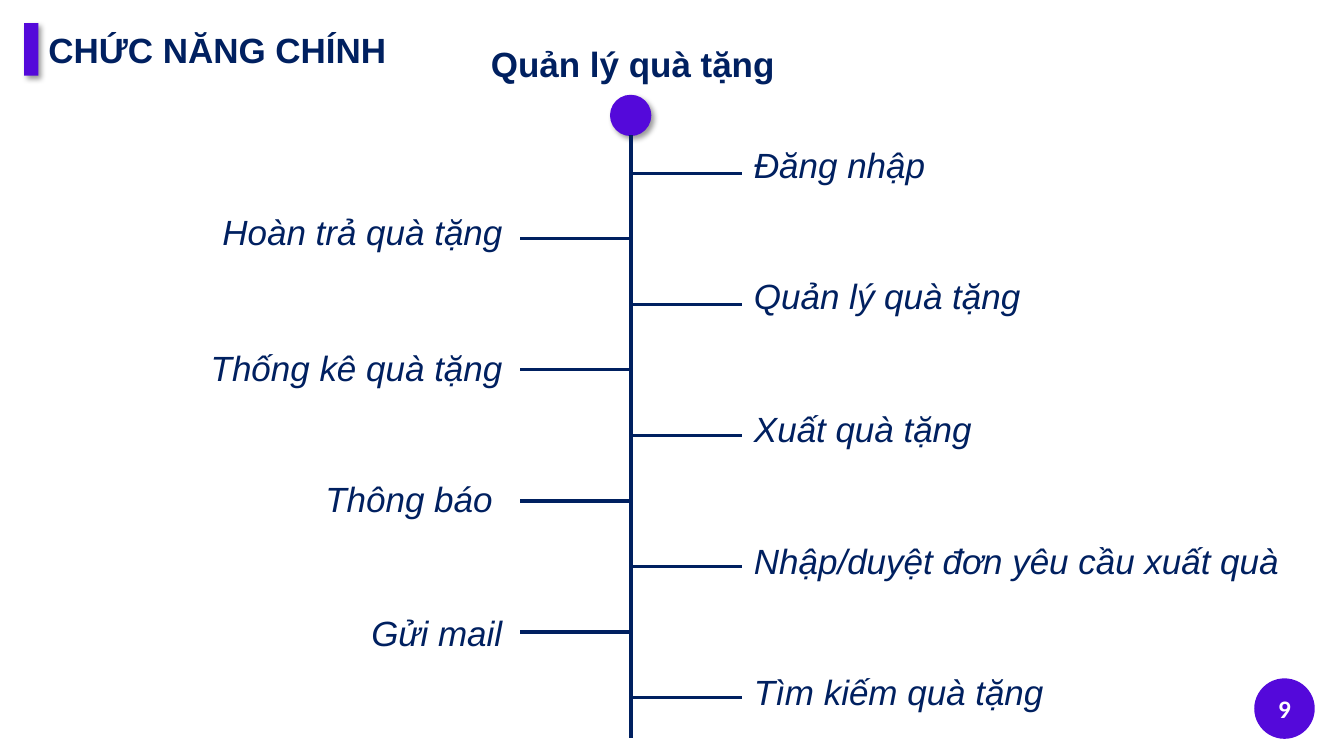
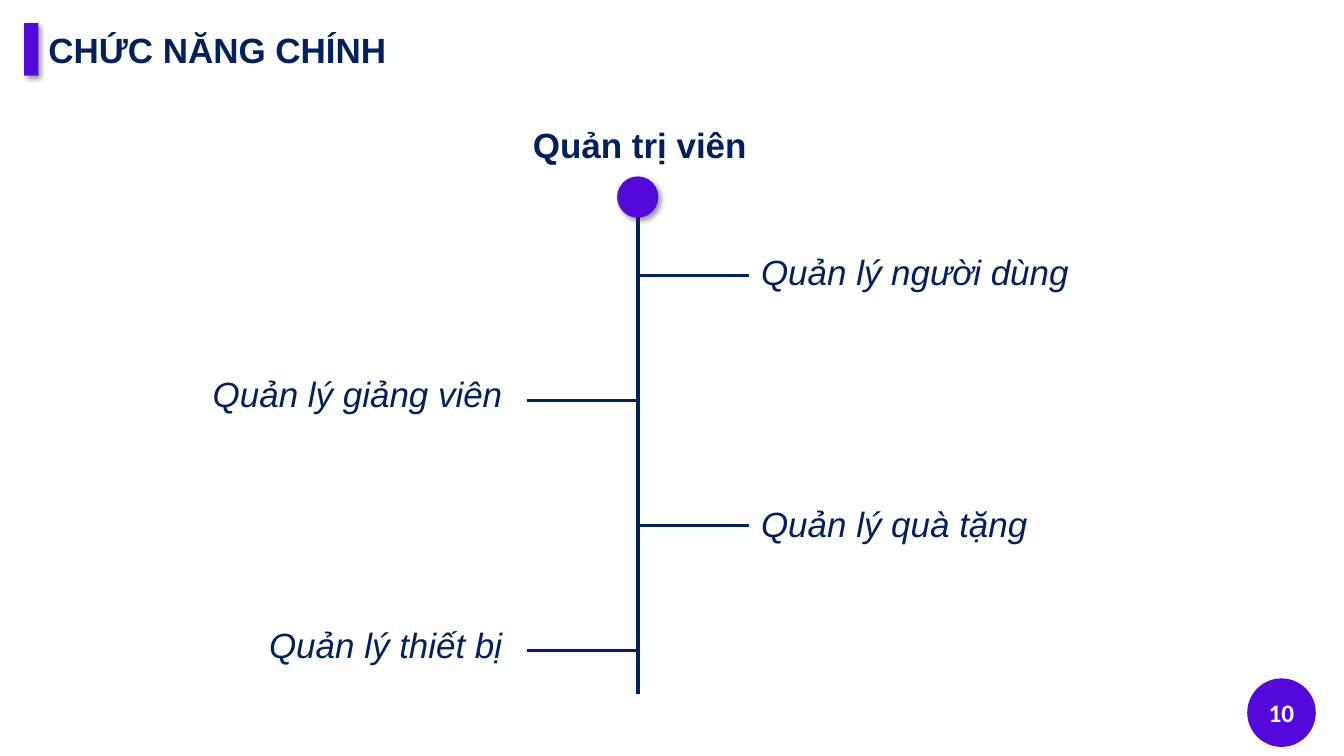
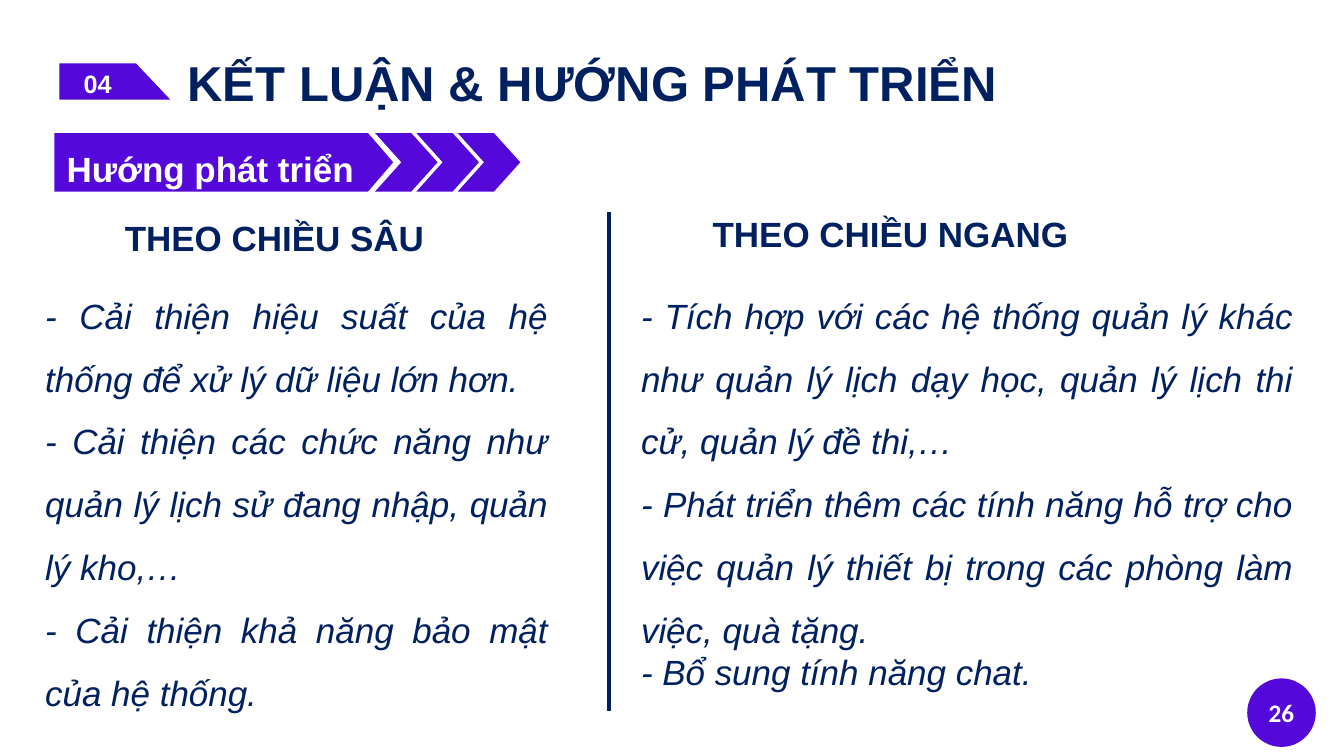
from lxml import etree
from pptx import Presentation
from pptx import util as u
from pptx.dml import color
from pptx.enum import shapes, text
from pptx.oxml import ns

Inches = u.Inches
hue = color.RGBColor.from_string
NAVY, VIOLET, WHITE = "002060", "5409DA", "FFFFFF"
LEFT, MID, RIGHT, FULL = (text.PP_ALIGN.LEFT, text.PP_ALIGN.CENTER,
                          text.PP_ALIGN.RIGHT, text.PP_ALIGN.JUSTIFY)
FORM = shapes.MSO_SHAPE


def write(shape, rows, size=25, ink=NAVY, bold=False, slant=False,
          align=LEFT, gaps=(), face="Arial", pad=None):
    frame = shape.text_frame
    frame.word_wrap = True
    frame.auto_size = text.MSO_AUTO_SIZE.NONE
    frame.vertical_anchor = text.MSO_ANCHOR.TOP
    if pad is not None:
        frame.margin_left = Inches(pad)
        frame.margin_top = frame.margin_right = frame.margin_bottom = 0
    for i, row in enumerate(rows):
        para = frame.paragraphs[0] if i == 0 else frame.add_paragraph()
        para.alignment = align
        if i < len(gaps):
            para.line_spacing = gaps[i]
        run = para.add_run()
        run.text = row
        font = run.font
        font.name, font.size = face, u.Pt(size)
        font.bold, font.italic = bold, slant
        font.color.rgb = hue(ink)
    return frame


def draw(shape, shade=False):
    shape.fill.solid()
    shape.fill.fore_color.rgb = hue(VIOLET)
    shape.line.fill.background()
    shape.shadow.inherit = False
    if shade:
        glow = etree.SubElement(
            shape._element.spPr.find(ns.qn("a:effectLst")), ns.qn("a:outerShdw"),
            blurRad=str(u.Pt(4)), dist=str(u.Pt(3)), dir="2700000",
            algn="tl", rotWithShape="0")
        tint = etree.SubElement(glow, ns.qn("a:srgbClr"), val="000000")
        etree.SubElement(tint, ns.qn("a:alpha"), val="40000")
    return shape


deck = Presentation()
deck.slide_width, deck.slide_height = Inches(13.33), Inches(7.5)

pages = [
    ("CHỨC NĂNG CHÍNH", (0.38, 0.23, 3.74, 0.52), 25, "9", 12.44, 0.6),
    ("CHỨC NĂNG CHÍNH", (0.38, 0.23, 3.74, 0.52), 25, "10", 12.37, 0.68),
    ("KẾT LUẬN & HƯỚNG PHÁT TRIỂN", (1.76, 0.47, 9.55, 0.69), 35, "26", 12.37, 0.68),
]
slides = []
for name, spot, size, page, x, side in pages:
    slide = deck.slides.add_slide(deck.slide_layouts[5])
    slides.append(slide)
    title = slide.shapes.title
    title.left, title.top, title.width, title.height = map(Inches, spot)
    write(title, [name], size, bold=True)
    badge = draw(slide.shapes.add_shape(
        FORM.OVAL, Inches(x), Inches(6.73), Inches(side), Inches(side)))
    frame = write(badge, [page], 18, WHITE, bold=True, align=MID, face="Calibri", pad=0)
    frame.vertical_anchor = text.MSO_ANCHOR.MIDDLE

trees = [
    ("Quản lý quà tặng", 6.26, 0.94, 7.32, 1.72, 0.65, [
        ("Đăng nhập", 1.37), ("Hoàn trả quà tặng", 2.04),
        ("Quản lý quà tặng", 2.67), ("Thống kê quà tặng", 3.39),
        ("Xuất quà tặng", 3.99), ("Thông báo ", 4.69),
        ("Nhập/duyệt đơn yêu cầu xuất quà", 5.3), ("Gửi mail", 6.02),
        ("Tìm kiếm quà tặng", 6.6)]),
    ("Quản trị viên", 6.33, 1.75, 6.89, 2.73, 1.24, [
        ("Quản lý người dùng", 2.44), ("Quản lý giảng viên", 3.65),
        ("Quản lý quà tặng", 4.94), ("Quản lý thiết bị", 6.14)]),
]
rods = [(slides[2], 6.04, 2.1, 6.04, 7.05, 3)]
for slide, (head, axis, top, end, start, step, items) in zip(slides, trees):
    draw(slide.shapes.add_shape(
        FORM.RECTANGLE, Inches(0.24), Inches(0.23), Inches(0.14), Inches(0.52)), True)
    box = slide.shapes.add_textbox(
        Inches(axis - 1.99), Inches(top - 0.57), Inches(4.01), Inches(0.52))
    write(box, [head], bold=True, align=MID)
    draw(slide.shapes.add_shape(
        FORM.OVAL, Inches(axis - 0.21), Inches(top), Inches(0.41), Inches(0.41)), True)
    rods.append((slide, axis, top + 0.4, axis, end, 3))
    for i, (label, y) in enumerate(items):
        east = i % 2 == 0
        level = start + i * step
        rods.append((slide, axis, level, axis + (1.1 if east else -1.1), level, 2.25))
        box = slide.shapes.add_textbox(
            Inches(axis + 1.12 if east else 0.38), Inches(y),
            Inches(5.9 if east else 4.7), Inches(0.52))
        write(box, [label], slant=True, align=LEFT if east else RIGHT)

for slide, x1, y1, x2, y2, width in rods:
    rod = slide.shapes.add_connector(
        shapes.MSO_CONNECTOR.STRAIGHT, Inches(x1), Inches(y1), Inches(x2), Inches(y2))
    rod.line.color.rgb = hue(NAVY)
    rod.line.width = u.Pt(width)
    etree.SubElement(rod._element.spPr, ns.qn("a:effectLst"))

last = slides[2].shapes
pen = last.build_freeform(Inches(0.59), Inches(0.63))
pen.add_line_segments([(Inches(x), Inches(y)) for x, y in
                       [(1.35, 0.63), (1.69, 0.99), (0.59, 0.99)]])
tag = draw(pen.convert_to_shape())
write(tag, ["04"], 18, WHITE, bold=True, pad=0.24).margin_top = Inches(0.05)

plate = draw(last.add_shape(
    FORM.PENTAGON, Inches(0.54), Inches(1.32), Inches(3.36), Inches(0.58)))
plate.adjustments[0] = 0.43
for i in range(3):
    arrow = draw(last.add_shape(
        FORM.CHEVRON, Inches(3.72 + i * 0.41), Inches(1.32), Inches(0.62), Inches(0.58)))
    arrow.adjustments[0] = 0.45
box = last.add_textbox(Inches(0.43), Inches(1.26), Inches(3.31), Inches(0.55))
write(box, ["Hướng phát triển"], ink=WHITE, bold=True, align=MID, gaps=[u.Pt(44.8)], pad=0)

parts = [
    ("THEO CHIỀU SÂU", 1.14, 2.1, 0.35, 5.18, [1.5, 1.5, 1.5], [
        "- Cải thiện hiệu suất của hệ thống để xử lý dữ liệu lớn hơn.",
        "- Cải thiện các chức năng như quản lý lịch sử đang nhập, quản lý kho,…",
        "- Cải thiện khả năng bảo mật của hệ thống."]),
    ("THEO CHIỀU NGANG", 6.97, 2.06, 6.26, 6.66, [1.5, 1.5], [
        "- Tích hợp với các hệ thống quản lý khác như quản lý lịch dạy học, "
        "quản lý lịch thi cử, quản lý đề thi,…",
        "- Phát triển thêm các tính năng hỗ trợ cho việc quản lý thiết bị "
        "trong các phòng làm việc, quà tặng.",
        "- Bổ sung tính năng chat."]),
]
for head, x, y, left, width, gaps, rows in parts:
    box = last.add_textbox(Inches(x), Inches(y), Inches(3.77), Inches(0.52))
    write(box, [head], bold=True)
    box = last.add_textbox(Inches(left), Inches(2.66), Inches(width), Inches(4.4))
    write(box, rows, slant=True, align=FULL, gaps=gaps)

deck.save("out.pptx")
